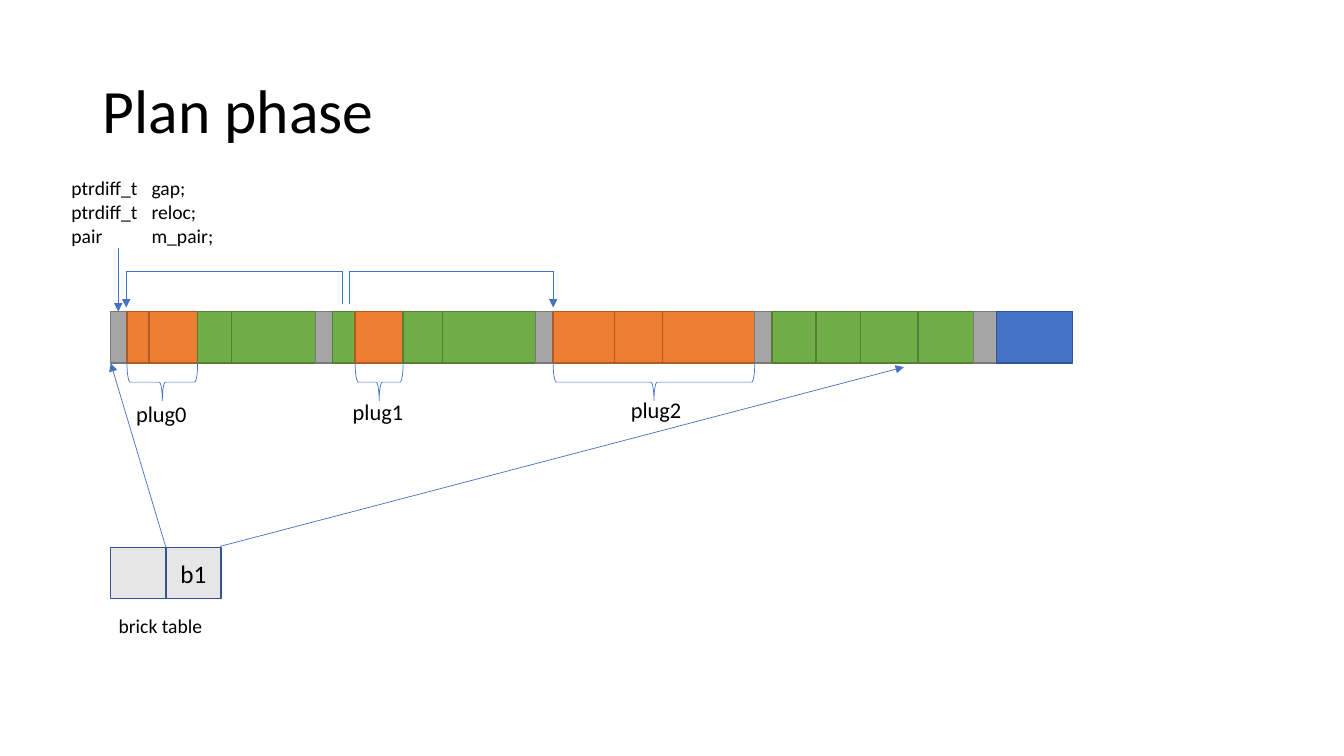
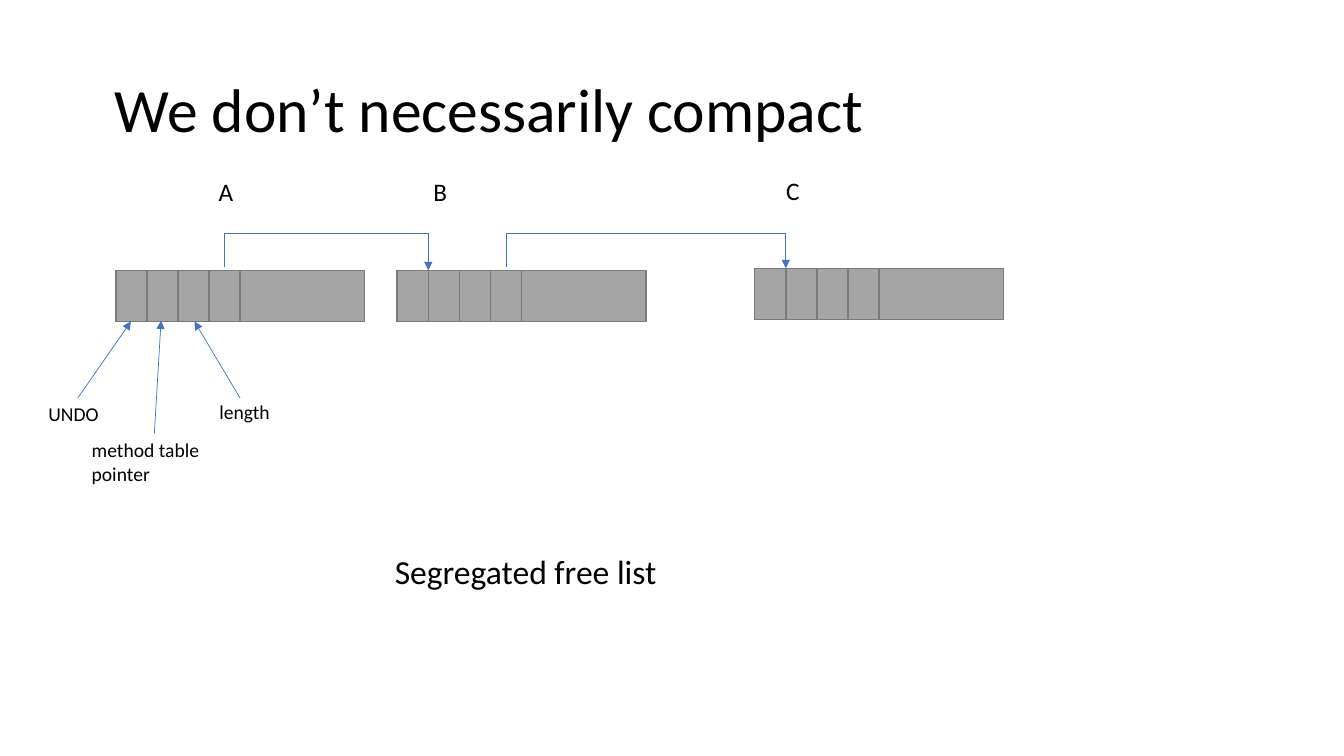
from dataclasses import dataclass
from itertools import pairwise

from pptx import Presentation
from pptx import util as u
from pptx.dml.color import RGBColor
from pptx.enum import shapes, text
from pptx.oxml.ns import qn
from lxml import etree


@dataclass(frozen=True)
class Theme:
    font: str = "Calibri"
    ink: str = "000000"
    line: str = "4472C4"
    # fill and outline of each kind of block
    free: tuple = ("4472C4", "325491")
    gap: tuple = ("A5A5A5", "7A7A7A")
    plug: tuple = ("ED7D31", "AF5C24")
    dead: tuple = ("70AD47", "538035")
    brick: tuple = ("E7E6E6", "325491")
    title: int = 44
    caption: int = 24
    letter: int = 18
    label: int = 16
    note: int = 14
    edge: float = 1
    hairline: float = 0.5


THEME = Theme()
BLOCK_HEIGHT = 1.3


class Sketch:
    """Draws on the current slide; all lengths are in centimetres."""

    def __init__(self, theme):
        self.theme = theme
        self.deck = Presentation()
        self.deck.slide_width = u.Cm(33.87)
        self.deck.slide_height = u.Cm(19.05)
        self.page = None

    def new_page(self, title, left, top):
        self.page = self.deck.slides.add_slide(self.deck.slide_layouts[6])
        box = self.label([title], left, top, 29.21, 3.68, self.theme.title)
        box.text_frame.auto_size = text.MSO_AUTO_SIZE.NONE
        box.text_frame.vertical_anchor = text.MSO_ANCHOR.MIDDLE
        box.text_frame.paragraphs[0].line_spacing = 0.9

    def add_span(self, para, words, size):
        span = para.add_run()
        span.text = words
        span.font.name = self.theme.font
        span.font.size = u.Pt(size)
        span.font.color.rgb = RGBColor.from_string(self.theme.ink)

    def label(self, lines, left, top, width, height, size, tab=None):
        """Adds a text box; tab is the position of an optional tab stop."""
        box = self.page.shapes.add_textbox(*map(u.Cm, (left, top, width, height)))
        frame = box.text_frame
        frame.word_wrap = True
        frame.auto_size = text.MSO_AUTO_SIZE.SHAPE_TO_FIT_TEXT
        for index, words in enumerate(lines):
            para = frame.add_paragraph() if index else frame.paragraphs[0]
            if tab:
                stops = etree.SubElement(para._p.get_or_add_pPr(), qn("a:tabLst"))
                etree.SubElement(stops, qn("a:tab"), pos=str(u.Cm(tab)), algn="l")
            self.add_span(para, words, size)
        return box

    def outline(self, line, colour, weight):
        line.color.rgb = RGBColor.from_string(colour)
        line.width = u.Pt(weight)

    def block(self, left, top, width, colours, words=None):
        box = self.page.shapes.add_shape(
            shapes.MSO_SHAPE.RECTANGLE, *map(u.Cm, (left, top, width, BLOCK_HEIGHT)))
        fill, edge = colours
        box.shadow.inherit = False
        box.fill.solid()
        box.fill.fore_color.rgb = RGBColor.from_string(fill)
        self.outline(box.line, edge, self.theme.edge)
        if words:
            para = box.text_frame.paragraphs[0]
            para.alignment = text.PP_ALIGN.CENTER
            box.text_frame.vertical_anchor = text.MSO_ANCHOR.MIDDLE
            self.add_span(para, words, self.theme.letter)

    def brace(self, left, right, top, depth=0.94):
        """Adds a brace that points down, below the span from left to right."""
        span = right - left
        brace = self.page.shapes.add_shape(
            shapes.MSO_SHAPE.RIGHT_BRACE,
            u.Cm((left + right - depth) / 2), u.Cm(top + (depth - span) / 2),
            u.Cm(depth), u.Cm(span))
        brace.rotation = 90
        brace.shadow.inherit = False
        brace.fill.background()
        self.outline(brace.line, self.theme.line, self.theme.hairline)

    def line(self, start, end, arrow=False):
        line = self.page.shapes.add_connector(
            shapes.MSO_CONNECTOR.STRAIGHT, *map(u.Cm, (*start, *end)))
        self.outline(line.line, self.theme.line, self.theme.hairline)
        if arrow:
            etree.SubElement(line.line._get_or_add_ln(), qn("a:tailEnd"), type="triangle")
        etree.SubElement(line._element.spPr, qn("a:effectLst"))

    def hook(self, start, rail, end):
        """Draws an arrow that rises to the rail, runs along it and drops."""
        corners = (start[0], rail), (end[0], rail)
        self.line(start, corners[0])
        self.line(*corners)
        self.line(corners[1], end, arrow=True)


def plan_phase(sketch):
    theme = sketch.theme
    sketch.new_page("Plan phase", 2.34, 1.02)

    heap_left, heap_top = 2.79, 7.85
    heap = [
        (theme.gap, [0.41]), (theme.plug, [0.56, 1.22]), (theme.dead, [0.85, 2.12]),
        (theme.gap, [0.43]), (theme.dead, [0.57]), (theme.plug, [1.21]),
        (theme.dead, [0.99, 2.34]), (theme.gap, [0.45]),
        (theme.plug, [1.55, 1.2, 2.33]), (theme.gap, [0.44]),
        (theme.dead, [1.11, 1.12, 1.45, 1.4]), (theme.gap, [0.58]), (theme.free, [1.91]),
    ]
    left = heap_left
    plugs = []
    for colours, widths in heap:
        group_left = left
        for width in widths:
            sketch.block(left, heap_top, width, colours)
            left += width
        if colours == theme.plug:
            plugs.append((group_left, left))

    label_places = [(3.18, 9.96), (8.64, 9.91), (15.65, 9.86)]
    for index, (plug, place) in enumerate(zip(plugs, label_places)):
        sketch.brace(*plug, 9.16)
        sketch.label([f"plug{index}"], *place, 1.88, 0.94, theme.label)

    brick_top, brick_width = 13.79, 1.39
    for index, words in enumerate((None, "b1")):
        sketch.block(heap_left + index * brick_width, brick_top, brick_width,
                     theme.brick, words)
    sketch.label(["brick table"], 2.74, 15.34, 3.1, 0.86, theme.note)
    sketch.line((heap_left + brick_width, brick_top),
                (heap_left, heap_top + BLOCK_HEIGHT), arrow=True)
    sketch.line((5.54, 13.77), (22.78, 9.25), arrow=True)

    for start, end in ((8.64, 3.18), (8.81, 13.94)):
        sketch.hook((start, 7.67), 6.83, (end, 7.75))
    sketch.line((2.98, 6.25), (2.98, heap_top), arrow=True)
    sketch.label(["ptrdiff_t\tgap;", "ptrdiff_t\treloc;", "pair\tm_pair;"],
                 1.55, 4.32, 4.45, 2.06, theme.note, tab=2.02)


def free_list(sketch):
    theme = sketch.theme
    sketch.new_page("We don’t necessarily compact", 2.64, 0.99)

    item_width = 6.27
    cell = item_width / 8
    items = [(2.92, 6.81), (10.01, 6.81), (19.02, 6.76)]
    for left, top in items:
        sketch.block(left, top, item_width, theme.gap)
        for index in range(4):
            sketch.block(left + index * cell, top, cell, theme.gap)
    for (left, top), (next_left, next_top) in pairwise(items):
        sketch.hook((left + 3.5 * cell, 6.73), 5.87, (next_left + cell, next_top))
    for letter, left, top in (("A", 5.26, 4.32), ("B", 10.67, 4.32), ("C", 19.56, 4.29)):
        sketch.label([letter], left, top, 1.7, 1.02, theme.letter)

    fields = [
        ("UNDO", (0.97, 10.01, 1.93, 0.86), (1.96, 10.03), (3.3, 8.1)),
        ("method table pointer", (2.06, 10.92, 3.66, 1.45), (3.89, 10.92), (4.06, 8.08)),
        ("length", (5.28, 9.96, 1.93, 0.86), (6.05, 10.03), (4.9, 8.1)),
    ]
    for words, place, start, end in fields:
        sketch.label([words], *place, theme.note)
        sketch.line(start, end, arrow=True)
    sketch.label(["Segregated free list"], 9.7, 13.77, 10.64, 1.27, theme.caption)


def main():
    sketch = Sketch(THEME)
    plan_phase(sketch)
    free_list(sketch)
    sketch.deck.save("out.pptx")


if __name__ == "__main__":
    main()
